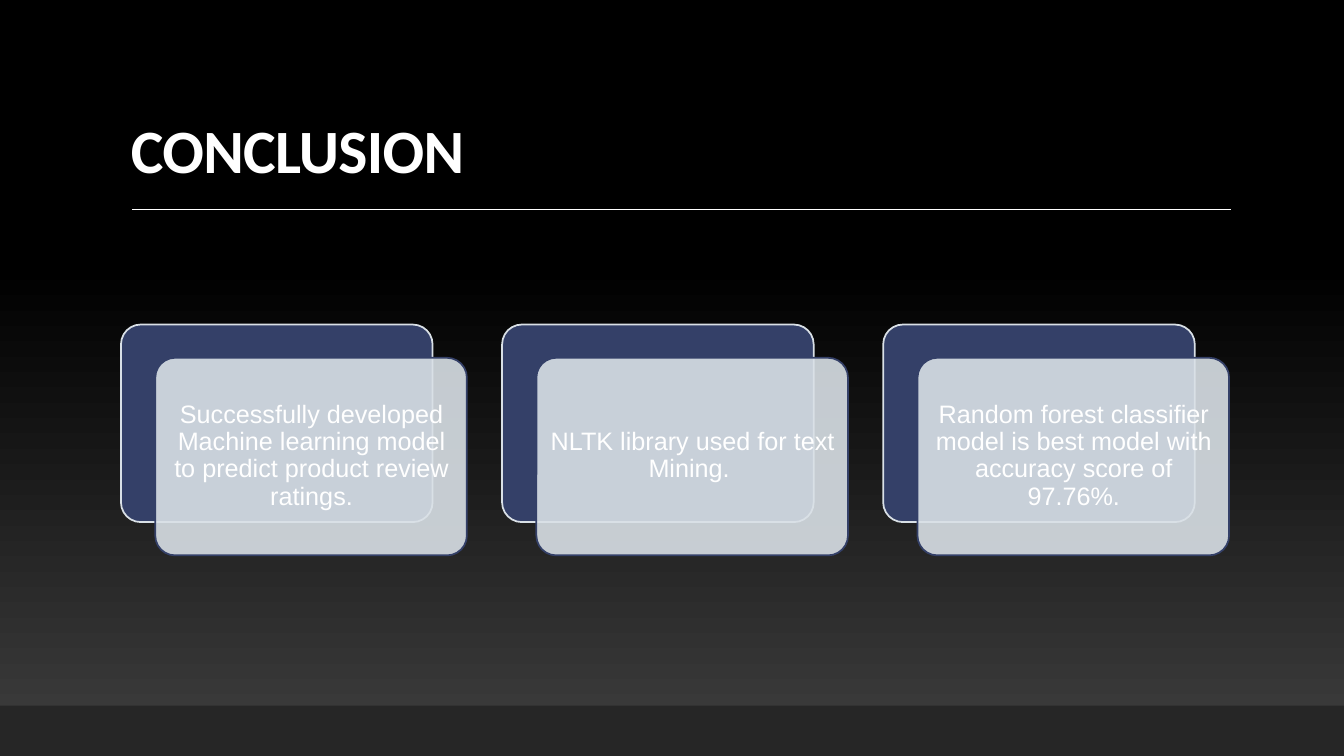
"""Build the conclusion slide with three layered cards."""
from dataclasses import dataclass

from lxml import etree
from pptx import Presentation
from pptx.dml import color as c, fill as f
from pptx.enum import shapes as s, text as t
from pptx.oxml import ns
from pptx.shapes import autoshape as a
from pptx.slide import Slide
from pptx.text import text as tx
from pptx.util import Inches, Pt

WHITE = c.RGBColor(0xFF, 0xFF, 0xFF)
BLACK = c.RGBColor(0x00, 0x00, 0x00)
GREY = c.RGBColor(0x3F, 0x3F, 0x3F)
DARK = c.RGBColor(0x26, 0x26, 0x26)
NAVY = c.RGBColor(0x34, 0x40, 0x68)
MIST = c.RGBColor(0xD9, 0xE0, 0xE6)

WIDE, HIGH = 13.33, 7.5
LEFT, TOP, STEP = 1.2, 3.22, 3.78


@dataclass(frozen=True)
class Box:
    """Hold a place and size in inches."""
    x: float
    y: float
    w: float
    h: float

    def spans(self) -> tuple[int, int, int, int]:
        """Return the four lengths for a shape call."""
        return Inches(self.x), Inches(self.y), Inches(self.w), Inches(self.h)


@dataclass(frozen=True)
class Style:
    """Hold the look of a run of text."""
    font: str
    size: float
    bold: bool = False
    track: int = 0


HEAD = Style("Calibri", 44, True, -50)
BODY = Style("Arial", 18)

CARDS = (
    "Successfully developed Machine learning model to predict product review ratings.",
    "NLTK library used for text Mining. ",
    "Random forest classifier model is best model with accuracy score of 97.76%.",
)


def fade(fill: f.FillFormat) -> None:
    """Shade a fill from grey at the bottom up to black."""
    fill.gradient()
    fill.gradient_angle = 90
    for stop, tone, place in zip(fill.gradient_stops, (GREY, BLACK), (0, 0.65)):
        stop.color.rgb = tone
        stop.position = place


def panel(slide: Slide, box: Box) -> a.Shape:
    """Add a plain rectangle without a line."""
    shape = slide.shapes.add_shape(s.MSO_SHAPE.RECTANGLE, *box.spans())
    shape.shadow.inherit = False
    shape.line.fill.background()
    return shape


def plate(slide: Slide, box: Box, tone: c.RGBColor, edge: c.RGBColor) -> a.Shape:
    """Add a rounded plate with an outline."""
    shape = slide.shapes.add_shape(s.MSO_SHAPE.ROUNDED_RECTANGLE, *box.spans())
    shape.adjustments[0] = 0.1
    shape.shadow.inherit = False
    shape.fill.solid()
    shape.fill.fore_color.rgb = tone
    shape.line.color.rgb = edge
    shape.line.width = Pt(1.25)
    return shape


def veil(shape: a.Shape, share: int) -> None:
    """Set the opacity of a solid fill in percent."""
    tone = shape.fill._xPr.find(ns.qn("a:solidFill"))[0]
    etree.SubElement(tone, ns.qn("a:alpha")).set("val", str(share * 1000))


def label(slide: Slide, box: Box, words: str, style: Style) -> tx.TextFrame:
    """Add a wrapped text box with one white run."""
    frame = slide.shapes.add_textbox(*box.spans()).text_frame
    frame.word_wrap = True
    para = frame.paragraphs[0]
    para.line_spacing = 0.9
    run = para.add_run()
    run.text = words
    run.font.name = style.font
    run.font.size = Pt(style.size)
    run.font.bold = style.bold
    run.font.color.rgb = WHITE
    if style.track:
        run._r.get_or_add_rPr().set("spc", str(style.track))
    return frame


def rule(slide: Slide) -> None:
    """Draw the white line under the title."""
    y = Inches(2.08)
    line = slide.shapes.add_connector(
        s.MSO_CONNECTOR.STRAIGHT, Inches(1.31), y, Inches(12.21), y)
    line.line.color.rgb = WHITE
    line.line.width = Pt(1)
    etree.SubElement(line._element.spPr, ns.qn("a:effectLst"))


def card(slide: Slide, x: float, words: str) -> None:
    """Add a navy plate, a pale plate over it and its text."""
    plate(slide, Box(x, TOP, 3.09, 1.96), NAVY, MIST)
    front = plate(slide, Box(x + 0.34, TOP + 0.33, 3.09, 1.96), MIST, NAVY)
    veil(front, 90)
    frame = label(slide, Box(x + 0.4, TOP + 0.38, 2.98, 1.85), words, BODY)
    frame.vertical_anchor = t.MSO_ANCHOR.MIDDLE
    frame.margin_left = frame.margin_right = Inches(0.07)
    frame.margin_top = frame.margin_bottom = Inches(0.07)
    frame.paragraphs[0].alignment = t.PP_ALIGN.CENTER


def main() -> None:
    """Build and save the slide."""
    deck = Presentation()
    deck.slide_width, deck.slide_height = Inches(WIDE), Inches(HIGH)
    slide = deck.slides.add_slide(deck.slide_layouts[6])
    fade(slide.background.fill)
    fade(panel(slide, Box(0, 0, WIDE, HIGH)).fill)
    title = label(slide, Box(LEFT, 0.31, 11, 1.59), "CONCLUSION", HEAD)
    title.vertical_anchor = t.MSO_ANCHOR.BOTTOM
    rule(slide)
    strip = panel(slide, Box(0, 7, WIDE, 0.5))
    strip.fill.solid()
    strip.fill.fore_color.rgb = DARK
    for i, words in enumerate(CARDS):
        card(slide, LEFT + i * STEP, words)
    deck.save("out.pptx")


if __name__ == "__main__":
    main()
